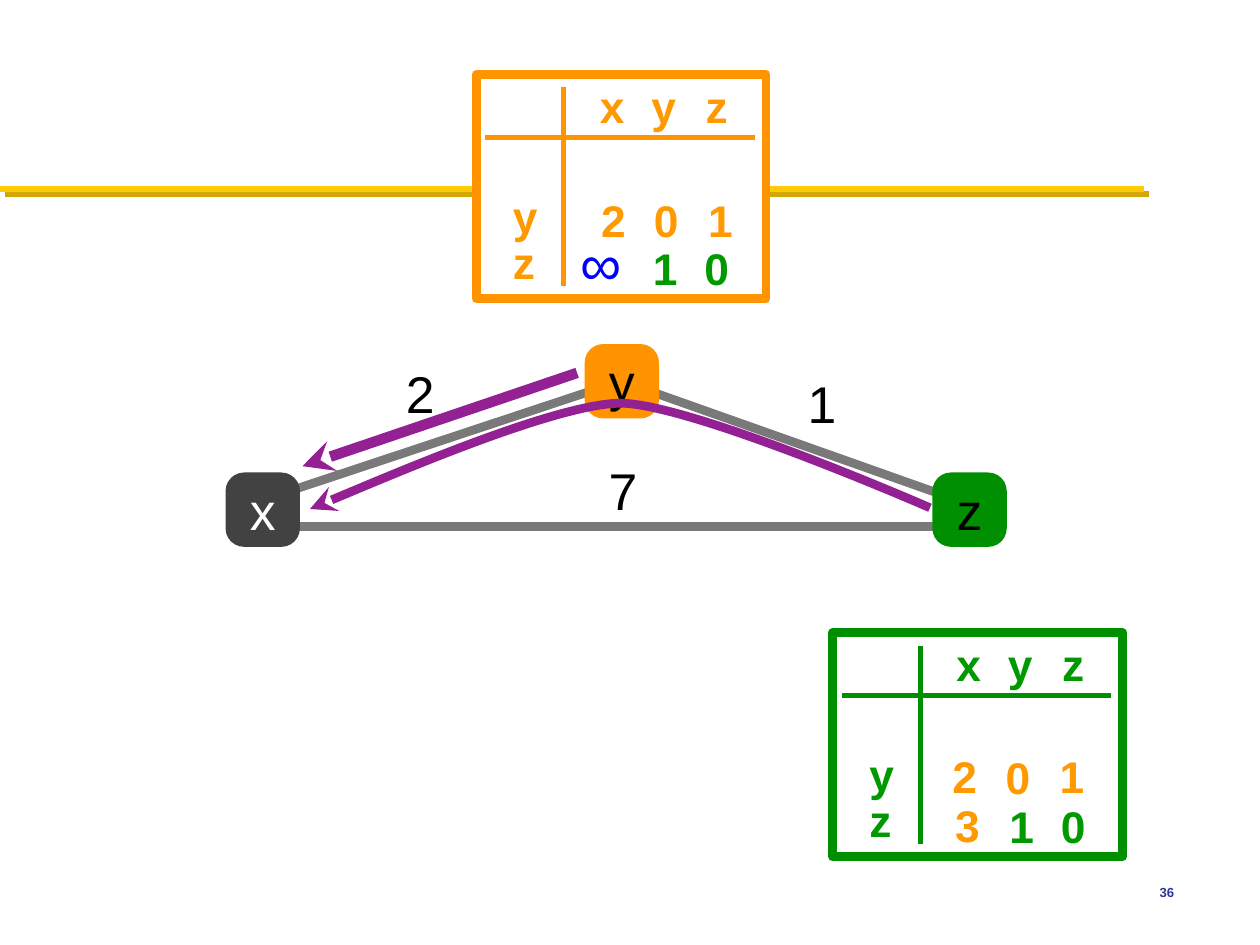
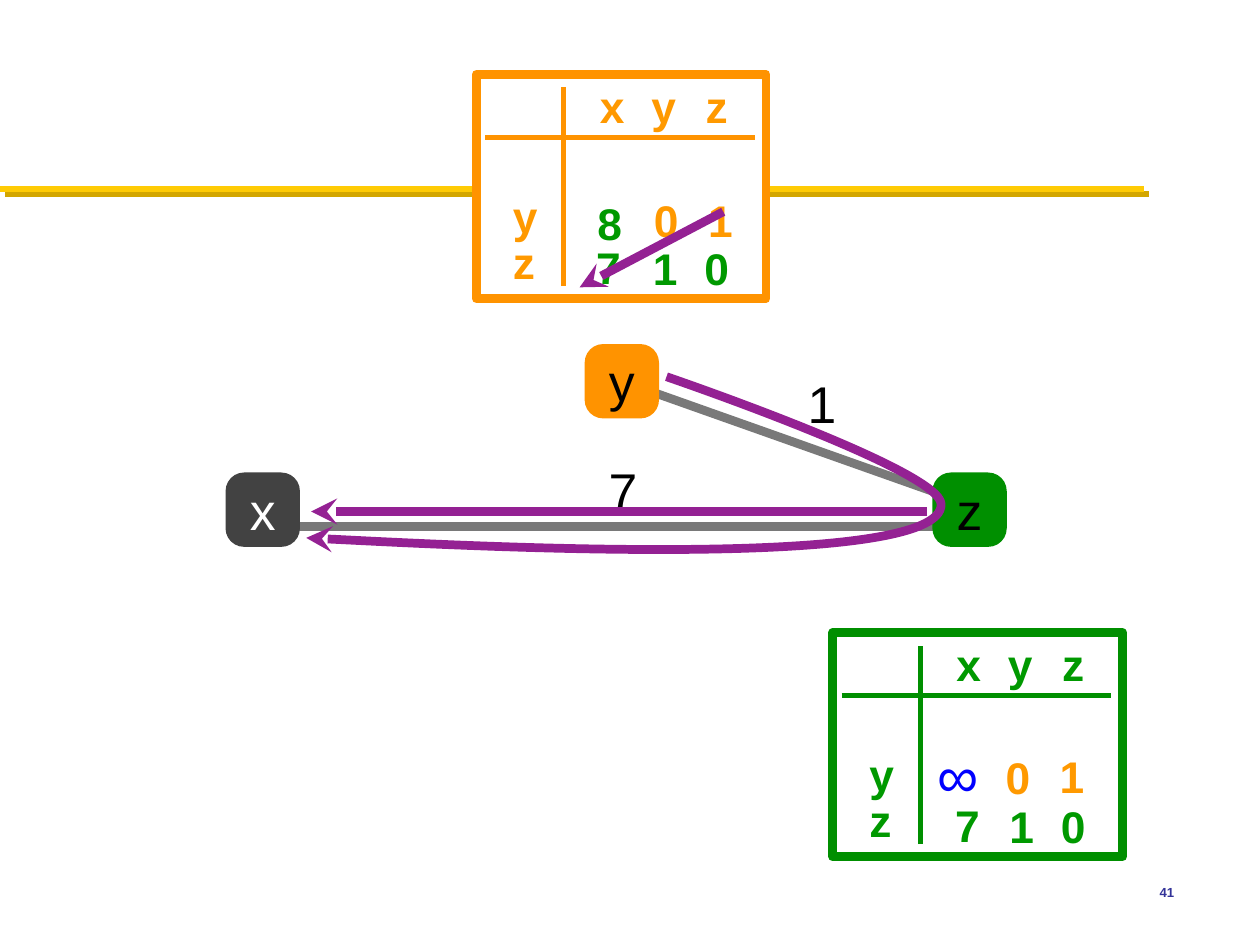
from lxml import etree
from pptx import Presentation
from pptx.dml.color import RGBColor
from pptx.enum.shapes import MSO_CONNECTOR, MSO_SHAPE
from pptx.enum.text import MSO_ANCHOR, PP_ALIGN
from pptx.oxml.ns import qn
from pptx.util import Pt

STRAIGHT = MSO_CONNECTOR.STRAIGHT
RECTANGLE = MSO_SHAPE.RECTANGLE
ROUNDED = MSO_SHAPE.ROUNDED_RECTANGLE
MIDDLE = MSO_ANCHOR.MIDDLE
LEFT, CENTER, RIGHT = PP_ALIGN.LEFT, PP_ALIGN.CENTER, PP_ALIGN.RIGHT

WHITE = RGBColor(0xFF, 0xFF, 0xFF)
BLACK = RGBColor(0x00, 0x00, 0x00)
GOLD = RGBColor(0xFF, 0xCB, 0x05)
ORANGE = RGBColor(0xFF, 0x93, 0x00)
ORANGE_TEXT = RGBColor(0xFF, 0x99, 0x00)
GREEN = RGBColor(0x00, 0x8F, 0x00)
GREEN_TEXT = RGBColor(0x00, 0x99, 0x00)
BLUE = RGBColor(0x00, 0x00, 0xFF)
GREY = RGBColor(0x79, 0x79, 0x79)
DARK = RGBColor(0x42, 0x42, 0x42)
PURPLE = RGBColor(0x94, 0x21, 0x93)
NAVY = RGBColor(0x33, 0x33, 0x99)

INFINITY = "\u221e"
NODE_SIZE = 42.5
TABLE_WIDTH, TABLE_HEIGHT = 165.6, 128.2
CELL_SIZE = 25.3

NODES = [("x", 128.9, 270, DARK, WHITE), ("z", 532.8, 270, GREEN, BLACK),
         ("y", 334.1, 196.6, ORANGE, BLACK)]
EDGES = {
    "xy": ([(342.7, 221.8), (160.6, 282.2)], "2", 229, 203.8),
    "xz": ([(165.6, 301), (549.4, 301)], "7", 344.9, 259.2),
    "yz": ([(366.5, 221.8), (549.4, 286.6)], "1", 458.6, 209.5),
}
HEADINGS = [("x", 67.7, 1.4), ("y", 97.2, 1.4), ("z", 128.2, 1.4),
            ("y", 18, 62.6), ("z", 18, 88.6)]
TABLES = {
    "y": (272.2, 42.5, ORANGE, ORANGE_TEXT,
          [("0", ORANGE_TEXT, 98.6, 64.8), ("1", ORANGE_TEXT, 129.6, 64.8)]),
    "z": (475.9, 361.4, GREEN, GREEN_TEXT,
          [("0", ORANGE_TEXT, 95.8, 64), ("1", ORANGE_TEXT, 126.7, 63.4)]),
}
LAST_ROW = [("1", GREEN_TEXT, 98, 92), ("0", GREEN_TEXT, 127.4, 92)]

SLIDES = [
    {
        "number": "36",
        "edges": ["xy", "xz", "yz"],
        "y": [("2", ORANGE_TEXT, 68.4, 64.8), (INFINITY, BLUE, 56.9, 89.3)],
        "z": [("2", ORANGE_TEXT, 65.5, 63.4), ("3", ORANGE_TEXT, 67, 91.4)],
        "arrows": [
            (6, [(329.8, 213.1), (172.8, 266.4)]),
            (5, [(531.4, 290.2), (531.4, 290.2), (394.6, 230.4), (354.2, 230.4),
                 (316.8, 231.1), (177.1, 290.9), (177.1, 290.9)]),
        ],
    },
    {
        "number": "41",
        "edges": ["xz", "yz"],
        "y": [("8", GREEN_TEXT, 66.2, 66.2), ("7", GREEN_TEXT, 65.5, 91.4)],
        "z": [(INFINITY, BLUE, 56.9, 62.6), ("7", GREEN_TEXT, 67, 91.4)],
        "arrows": [
            (5, [(529.9, 292.3), (177.8, 292.3)]),
            (5, [(413.3, 121), (331.2, 164.2)]),
            (5, [(380.9, 215.3), (380.9, 215.3), (537.1, 268.6), (537.8, 288),
                 (540, 327.6), (175, 307.4), (175, 307.4)]),
        ],
    },
]


def write_text(shape, text, size, colour, bold=False, align=LEFT, inset=2.9, wrap=True):
    frame = shape.text_frame
    settings = {"word_wrap": wrap, "vertical_anchor": MIDDLE, "margin_left": Pt(inset),
                "margin_right": Pt(inset), "margin_top": Pt(inset / 2),
                "margin_bottom": Pt(inset / 2)}
    for name, value in settings.items():
        setattr(frame, name, value)
    paragraph = frame.paragraphs[0]
    paragraph.alignment = align
    run = paragraph.add_run()
    run.text = text
    for name, value in {"name": "Arial", "size": Pt(size), "bold": bold}.items():
        setattr(run.font, name, value)
    run.font.color.rgb = colour


def add_line(slide, points, colour, width, arrow=False):
    points = [(Pt(x), Pt(y)) for x, y in points]
    if len(points) == 2:
        shape = slide.shapes.add_connector(STRAIGHT, *points[0], *points[1])
    else:
        builder = slide.shapes.build_freeform(*points[0])
        builder.add_line_segments(points[1:], close=False)
        shape = builder.convert_to_shape()
        shape.fill.background()
        segments = shape.element.xpath(".//a:lnTo")
        outline = segments[0].getparent()
        for start in range(0, len(segments), 3):
            curve = etree.SubElement(outline, qn("a:cubicBezTo"))
            for segment in segments[start:start + 3]:
                curve.append(segment[0])
                outline.remove(segment)
    shape.line.color.rgb = colour
    shape.line.width = Pt(width)
    properties = shape.element.spPr
    if arrow:
        etree.SubElement(properties.find(qn("a:ln")), qn("a:tailEnd"), type="stealth")
    return etree.SubElement(properties, qn("a:effectLst"))


presentation = Presentation()
presentation.slide_width = Pt(720)
presentation.slide_height = Pt(540)

for content in SLIDES:
    slide = presentation.slides.add_slide(presentation.slide_layouts[6])
    shapes = slide.shapes

    effects = add_line(slide, [(0, 108), (653.8, 108)], GOLD, 3.5)
    shadow = etree.SubElement(effects, qn("a:outerShdw"), dist=str(Pt(4.2)),
                              dir="2700000", algn="ctr", rotWithShape="0")
    etree.SubElement(shadow, qn("a:srgbClr"), val="D3A600")

    for edge in content["edges"]:
        add_line(slide, EDGES[edge][0], GREY, 5)

    for name, left, top, fill, colour in NODES:
        node = shapes.add_shape(ROUNDED, Pt(left), Pt(top), Pt(NODE_SIZE), Pt(NODE_SIZE))
        node.adjustments[0] = 0.25
        node.shadow.inherit = False
        node.fill.solid()
        node.fill.fore_color.rgb = fill
        node.line.fill.background()
        write_text(node, name, 29.5, colour, align=CENTER, inset=0)

    for edge in content["edges"]:
        points, cost, left, top = EDGES[edge]
        label = shapes.add_textbox(Pt(left), Pt(top), Pt(20.9), Pt(41.8))
        write_text(label, cost, 29.5, BLACK)

    for owner, (left, top, border, heading_colour, middle_row) in TABLES.items():
        frame = shapes.add_shape(RECTANGLE, Pt(left), Pt(top), Pt(TABLE_WIDTH), Pt(TABLE_HEIGHT))
        frame.shadow.inherit = False
        frame.fill.background()
        if owner == "y":
            frame.fill.solid()
            frame.fill.fore_color.rgb = WHITE
        frame.line.color.rgb = border
        frame.line.width = Pt(5)
        add_line(slide, [(left + 5, top + 36), (left + 159, top + 36)], border, 3)
        add_line(slide, [(left + 50, top + 121), (left + 50, top + 7.5)], border, 3)

        for text, x, y in HEADINGS:
            height = 33.1 if y < 10 else 36.7
            heading = shapes.add_textbox(Pt(left + x), Pt(top + y), Pt(20), Pt(height))
            write_text(heading, text, CELL_SIZE, heading_colour, bold=True)

        for text, colour, x, y in middle_row + LAST_ROW + content[owner]:
            infinite = text == INFINITY
            width = 34.6 if infinite else 13.7
            cell = shapes.add_textbox(Pt(left + x), Pt(top + y), Pt(width), Pt(36.7))
            write_text(cell, text, 33 if infinite else CELL_SIZE, colour, bold=not infinite)

    for width, points in content["arrows"]:
        add_line(slide, points, PURPLE, width, arrow=True)

    number = shapes.add_textbox(Pt(630), Pt(491.8), Pt(48.2), Pt(36))
    write_text(number, content["number"], 7.5, NAVY, bold=True, align=RIGHT, inset=7.2, wrap=False)

presentation.save("out.pptx")
